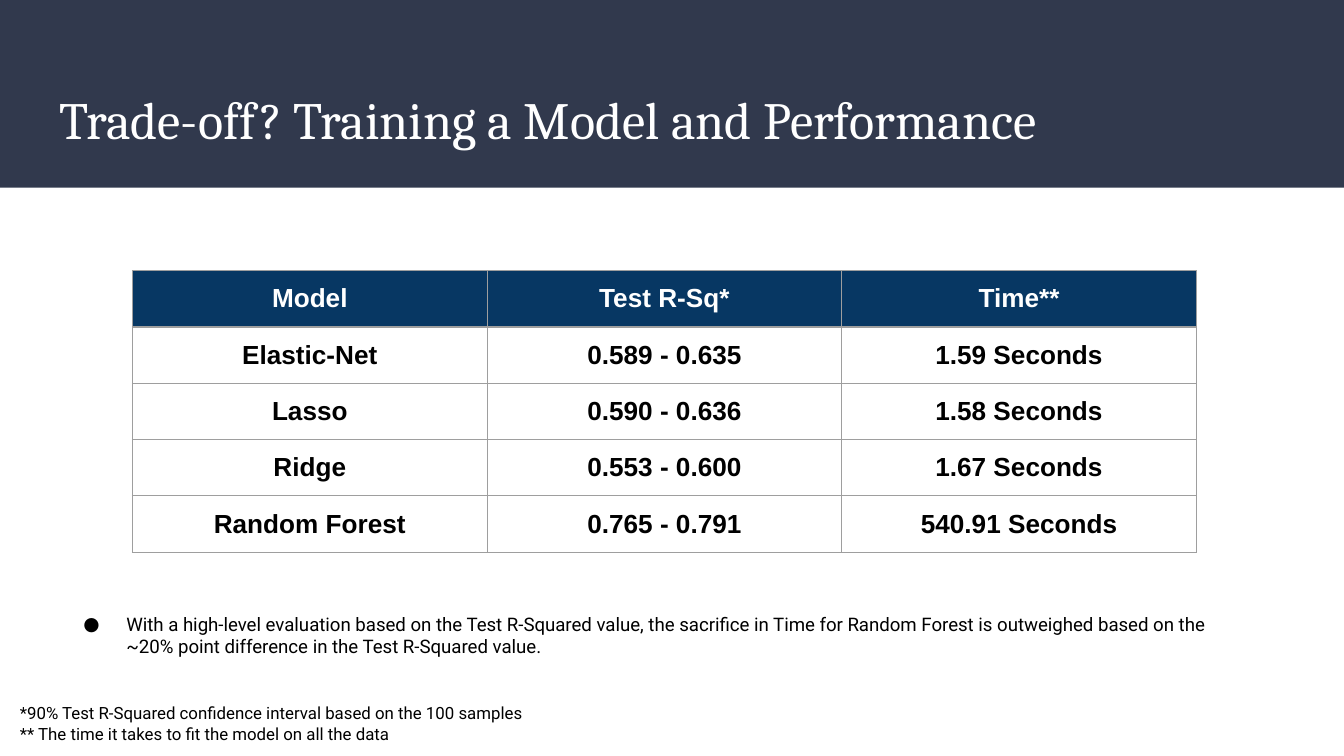
from lxml.etree import SubElement
from pptx import Presentation
from pptx.dml.color import RGBColor
from pptx.enum.shapes import MSO_SHAPE
from pptx.enum.text import MSO_ANCHOR, MSO_AUTO_SIZE, PP_ALIGN
from pptx.oxml.ns import qn
from pptx.util import Pt

BANNER, HEADER, BORDER = "31394D", "073763", "9E9E9E"
WHITE, BLACK = "FFFFFF", "000000"
INSET = 7.2

MODEL_ROWS = [
    ("Model", "Test R-Sq*", "Time**"),
    ("Elastic-Net", "0.589 - 0.635", "1.59 Seconds"),
    ("Lasso", "0.590 - 0.636", "1.58 Seconds"),
    ("Ridge", "0.553 - 0.600", "1.67 Seconds"),
    ("Random Forest", "0.765 - 0.791", "540.91 Seconds"),
]


def color(value):
    """Turn a hex string into a colour."""
    return RGBColor.from_string(value)


def place(shape, box):
    """Move a shape to a box of left, top, width and height in points."""
    shape.left, shape.top, shape.width, shape.height = map(Pt, box)


def set_insets(target):
    """Give a text frame or table cell equal margins."""
    for side in ("left", "top", "right", "bottom"):
        setattr(target, f"margin_{side}", Pt(INSET))


def write(text_frame, text, font, size, ink, bold=False, align=PP_ALIGN.LEFT):
    """Set the text of a frame and format every paragraph alike."""
    text_frame.text = text
    text_frame.word_wrap = True
    for paragraph in text_frame.paragraphs:
        paragraph.alignment = align
        paragraph.space_before = Pt(0)
        for run in paragraph.runs:
            run.font.name, run.font.size, run.font.bold = font, Pt(size), bold
            run.font.color.rgb = color(ink)


def write_box(shape, box, text, font, size, ink):
    """Place a text shape and fill it with top-anchored text."""
    place(shape, box)
    text_frame = shape.text_frame
    write(text_frame, text, font, size, ink)
    set_insets(text_frame)
    text_frame.auto_size = MSO_AUTO_SIZE.NONE
    text_frame.vertical_anchor = MSO_ANCHOR.TOP


def add_header(slide, box):
    """Draw the dark banner with the title near its lower edge."""
    left, top, width, height = box
    banner = slide.shapes.add_shape(MSO_SHAPE.RECTANGLE, *map(Pt, box))
    banner.shadow.inherit = False
    banner.fill.solid()
    banner.fill.fore_color.rgb = color(BANNER)
    banner.line.fill.background()
    banner.element.getparent().insert(2, banner.element)
    title_box = (left + 24.5, top + 39.6, width - 49, 49)
    write_box(slide.shapes.title, title_box,
              "Trade-off? Training a Model and Performance", "Cambria", 28, WHITE)


def add_borders(cell):
    """Draw thin grey lines on all four sides of a cell."""
    properties = cell._tc.get_or_add_tcPr()
    for index, side in enumerate(("lnL", "lnR", "lnT", "lnB")):
        line = properties.makeelement(qn(f"a:{side}"), {"w": str(Pt(0.75))})
        fill = SubElement(line, qn("a:solidFill"))
        SubElement(fill, qn("a:srgbClr"), val=BORDER)
        properties.insert(index, line)


def add_model_table(slide, box):
    """Compare the models in an evenly divided table."""
    row_count, column_count = len(MODEL_ROWS), len(MODEL_ROWS[0])
    table = slide.shapes.add_table(row_count, column_count, *map(Pt, box)).table
    table.horz_banding = False
    for row_index, values in enumerate(MODEL_ROWS):
        is_header = row_index == 0
        for column_index, value in enumerate(values):
            cell = table.cell(row_index, column_index)
            write(cell.text_frame, value, "Arial", 14,
                  WHITE if is_header else BLACK, True, PP_ALIGN.CENTER)
            set_insets(cell)
            if is_header:
                cell.fill.solid()
                cell.fill.fore_color.rgb = color(HEADER)
            else:
                cell.fill.background()
            add_borders(cell)


def add_conclusion(slide, box):
    """Put the bulleted conclusion in the body placeholder."""
    body = slide.placeholders[1]
    write_box(body, box,
              "With a high-level evaluation based on the Test R-Squared value, "
              "the sacrifice in Time for Random Forest is outweighed based on the "
              "~20% point difference in the Test R-Squared value.",
              "Roboto", 10, BLACK)
    properties = body.text_frame.paragraphs[0]._p.get_or_add_pPr()
    properties.set("marL", str(Pt(36)))
    properties.set("indent", str(Pt(-23)))
    bullet_color = SubElement(properties, qn("a:buClr"))
    SubElement(bullet_color, qn("a:srgbClr"), val=BLACK)
    SubElement(properties, qn("a:buFont"), typeface="Roboto")
    SubElement(properties, qn("a:buChar"), char="●")


def add_footnotes(slide, box):
    """Explain the starred column headings."""
    write_box(slide.shapes.add_textbox(*map(Pt, box)), box,
              "*90% Test R-Squared confidence interval based on the 100 samples\n"
              "** The time it takes to fit the model on all the data",
              "Roboto", 9, BLACK)


def main():
    """Build and save the slide."""
    presentation = Presentation()
    presentation.slide_width, presentation.slide_height = Pt(720), Pt(405)
    slide = presentation.slides.add_slide(presentation.slide_layouts[1])
    add_header(slide, (0, 0, 720, 100.5))
    add_model_table(slide, (71, 145, 570, 150.5))
    add_footnotes(slide, (3.6, 369.4, 441.4, 32.4))
    add_conclusion(slide, (24.5, 321.1, 635.8, 38.9))
    presentation.save("out.pptx")


main()
